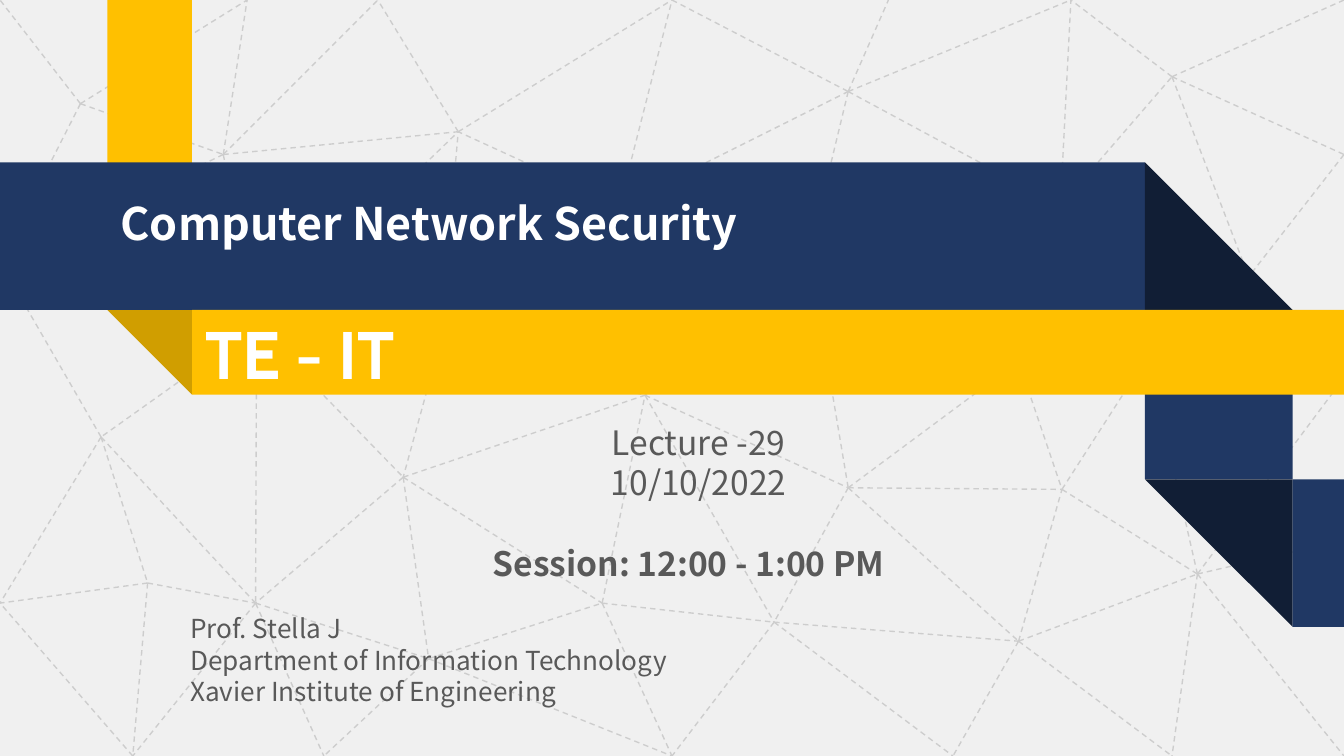
from dataclasses import dataclass

import pptx
import pptx.dml.color
import pptx.enum.dml
import pptx.enum.shapes
import pptx.enum.text
import pptx.oxml.ns
import pptx.util
from lxml import etree
from pptx.util import Cm

SHAPES = pptx.enum.shapes.MSO_SHAPE
ALIGN = pptx.enum.text.PP_ALIGN
ANCHOR = pptx.enum.text.MSO_ANCHOR

WIDTH, HEIGHT = 25.4, 14.29
NAVY, NAVY_FOLD = "203864", "111E35"
GOLD, GOLD_FOLD = "FFC000", "D09E00"
PAPER, MESH, WHITE, GREY = "F0F0F0", "CDCDCD", "FFFFFF", "595959"
BODY_FONT, BANNER_FONT = "Noto Sans CJK SC", "Cabin"

# Ribbon grid, in centimetres
NAVY_BAND, GOLD_BAND = 2.79, 1.6
GOLD_LEFT, NAVY_TOP = 2.03, 3.07
NAVY_RIGHT = 21.64
GOLD_TOP = NAVY_TOP + NAVY_BAND
GOLD_FOLD_RIGHT = GOLD_LEFT + GOLD_BAND
NAVY_FOLD_RIGHT = NAVY_RIGHT + NAVY_BAND
NAVY_TAIL_TOP = GOLD_TOP + 2 * GOLD_BAND

# Mesh nodes, numbered from 0, row by row from the top
NODES = [
    (0, 0), (4.67, 0), (7.14, 0), (12.7, 0), (16.79, 0), (20.24, 0),
    (WIDTH, 0), (1.52, 1.96), (22.15, 1.45), (16.03, 1.73),
    (8.66, 2.49), (4.22, 2.92), (WIDTH, 2.92), (11.71, 3.89),
    (20.04, 3.89), (0, 4.95), (15.29, 4.8), (23.6, 5.23),
    (4.85, 6.17), (8.31, 6.5), (21.69, 6.73), (19.25, 6.83),
    (WIDTH, 7.14), (12.19, 7.47), (1.91, 8.26), (7.62, 9.02),
    (16.03, 9.22), (20.07, 9.25), (WIDTH, 10.21), (22.63, 10.85),
    (2.79, 11.02), (0, 11.4), (4.83, 11.4), (11.38, 11.4),
    (14.63, 11.76), (19.25, 12.12), (8.1, 12.45), (2.51, HEIGHT),
    (6.12, HEIGHT), (12.7, HEIGHT), (18.01, HEIGHT), (22.15, HEIGHT),
    (WIDTH, HEIGHT),
]
# Each node with the nodes it is joined to
LINKS = {
    3: [9], 7: [0, 1, 11, 15], 8: [5, 6, 12, 17], 9: [4, 5, 14, 16],
    10: [2, 3], 11: [1, 2, 10, 15, 18], 12: [17], 13: [3, 9, 10, 23],
    14: [5, 8, 17, 20], 16: [21, 23, 26], 17: [20, 22],
    18: [10, 15, 24, 25, 32], 19: [10, 13, 23, 25], 20: [22],
    21: [14, 27], 23: [26, 34], 24: [15, 30, 31, 32],
    25: [23, 32, 33, 36], 26: [21, 27, 34, 35], 27: [20, 29],
    29: [20, 22, 28, 41, 42], 30: [31, 32, 37], 32: [36, 37, 38],
    33: [23, 34, 39], 34: [35, 39, 40], 35: [27, 29, 40, 41],
    36: [33, 38, 39], 37: [31],
}


@dataclass
class Block:
    left: float
    top: float
    width: float
    height: float
    color: str
    kind: SHAPES = SHAPES.RECTANGLE
    rotation: float = 0


@dataclass
class Line:
    text: str
    size: float
    color: str = GREY
    bold: bool = False
    font: str = BODY_FONT
    align: ALIGN = ALIGN.LEFT
    space_before: float = 0
    indent: float = 0


def rgb(color: str) -> pptx.dml.color.RGBColor:
    return pptx.dml.color.RGBColor.from_string(color)


def add_block(slide, block: Block):
    shape = slide.shapes.add_shape(block.kind, Cm(block.left), Cm(block.top),
                                   Cm(block.width), Cm(block.height))
    shape.shadow.inherit = False
    shape.fill.solid()
    shape.fill.fore_color.rgb = rgb(block.color)
    shape.line.fill.background()
    shape.rotation = block.rotation
    return shape


def add_mesh_line(slide, start: tuple, end: tuple) -> None:
    connector = slide.shapes.add_connector(
        pptx.enum.shapes.MSO_CONNECTOR.STRAIGHT,
        *(Cm(value) for value in (*start, *end)))
    connector.line.color.rgb = rgb(MESH)
    connector.line.width = pptx.util.Pt(0.75)
    connector.line.dash_style = pptx.enum.dml.MSO_LINE.DASH
    etree.SubElement(connector._element.spPr, pptx.oxml.ns.qn("a:effectLst"))


def write_lines(text_frame, lines: list[Line]) -> None:
    text_frame.word_wrap = True
    for index, line in enumerate(lines):
        paragraph = text_frame.paragraphs[0] if index == 0 else text_frame.add_paragraph()
        paragraph.text = line.text
        paragraph.alignment = line.align
        paragraph.space_before = pptx.util.Pt(line.space_before)
        paragraph.font.name = line.font
        paragraph.font.size = pptx.util.Pt(line.size)
        paragraph.font.bold = line.bold
        paragraph.font.color.rgb = rgb(line.color)
        if line.indent:
            paragraph._p.get_or_add_pPr().set("marL", str(Cm(line.indent)))


def add_text(slide, left: float, top: float, width: float, height: float,
             lines: list[Line]) -> None:
    box = slide.shapes.add_textbox(Cm(left), Cm(top), Cm(width), Cm(height))
    write_lines(box.text_frame, lines)
    box.text_frame.auto_size = pptx.enum.text.MSO_AUTO_SIZE.SHAPE_TO_FIT_TEXT


def main() -> None:
    presentation = pptx.Presentation()
    presentation.slide_width, presentation.slide_height = Cm(WIDTH), Cm(HEIGHT)
    slide = presentation.slides.add_slide(presentation.slide_layouts[6])

    # Background with dashed mesh
    add_block(slide, Block(0, 0, WIDTH, HEIGHT, PAPER))
    for start, ends in LINKS.items():
        for end in ends:
            add_mesh_line(slide, NODES[start], NODES[end])

    # Ribbons and their folds
    triangle = SHAPES.RIGHT_TRIANGLE
    for block in [
        Block(NAVY_RIGHT, GOLD_TOP, NAVY_BAND, 2 * GOLD_BAND, NAVY),
        Block(NAVY_RIGHT, NAVY_TAIL_TOP, NAVY_BAND, NAVY_BAND, NAVY_FOLD, triangle, 180),
        Block(NAVY_FOLD_RIGHT, NAVY_TAIL_TOP, WIDTH - NAVY_FOLD_RIGHT, NAVY_BAND, NAVY),
        Block(GOLD_LEFT, 0, GOLD_BAND, GOLD_TOP, GOLD),
        Block(0, NAVY_TOP, NAVY_RIGHT, NAVY_BAND, NAVY),
        Block(NAVY_RIGHT, NAVY_TOP, NAVY_BAND, NAVY_BAND, NAVY_FOLD, triangle),
        Block(GOLD_LEFT, GOLD_TOP, GOLD_BAND, GOLD_BAND, GOLD_FOLD, triangle, 180),
    ]:
        add_block(slide, block)
    banner = add_block(slide, Block(GOLD_FOLD_RIGHT, GOLD_TOP,
                                    WIDTH - GOLD_FOLD_RIGHT, GOLD_BAND, GOLD))
    write_lines(banner.text_frame, [Line("TE - IT", 36, WHITE, True, BANNER_FONT)])
    banner.text_frame.vertical_anchor = ANCHOR.MIDDLE

    # Title, lecturer and session
    add_text(slide, GOLD_LEFT, 3.58, 15.72, 1.27,
             [Line("Computer Network Security", 24, WHITE, True)])
    add_text(slide, 3.35, 11.46, 10.31, 2.06, [
        Line("Prof. Stella J", 14),
        Line("Department of Information Technology", 14),
        Line("Xavier Institute of Engineering", 14),
    ])
    add_text(slide, 8.2, 7.85, 10.01, 3.33, [
        Line("Lecture -29", 18, align=ALIGN.CENTER),
        Line("10/10/2022", 18, align=ALIGN.CENTER),
        Line("Session: 12:00 - 1:00 PM", 18, bold=True, space_before=21.5, indent=0.86),
    ])

    presentation.save("out.pptx")


if __name__ == "__main__":
    main()
